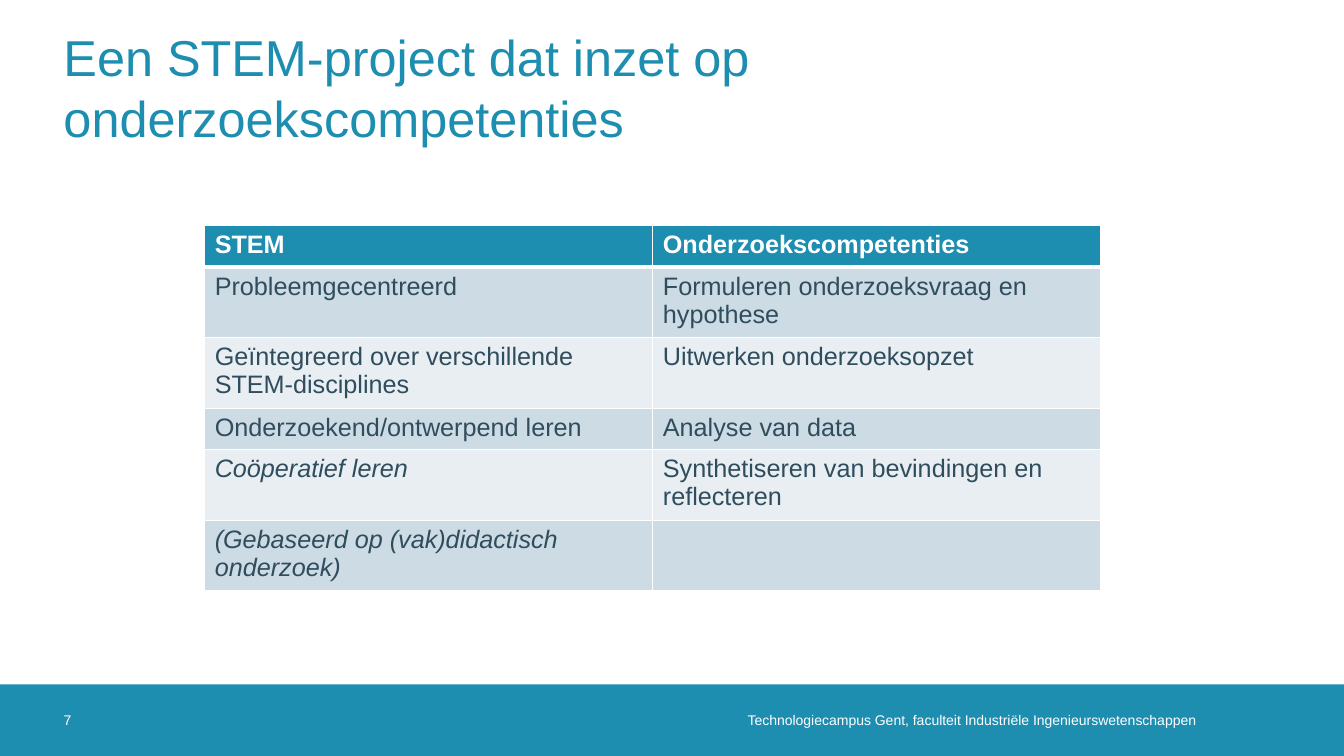
from dataclasses import dataclass

from lxml.etree import SubElement
from pptx import Presentation
from pptx.dml.color import RGBColor as RGB
from pptx.enum.shapes import MSO_SHAPE as SHAPE
from pptx.enum.text import MSO_ANCHOR as ANCHOR, PP_ALIGN as ALIGN
from pptx.oxml.ns import qn
from pptx.util import Inches, Pt


@dataclass(frozen=True)
class Theme:
    font: str = "Arial"
    teal: str = "1D8DB0"
    white: str = "FFFFFF"
    ink: str = "2F4D5D"
    bands: tuple = ("CDDBE4", "E8EEF2")
    title_size: int = 36
    table_size: int = 18
    footer_size: int = 10


THEME = Theme()


def write(frame, text, size, color, bold=False, italic=False):
    run = frame.paragraphs[0].add_run()
    run.text = text
    style = {"name": THEME.font, "size": Pt(size), "bold": bold, "italic": italic}
    for key, value in style.items():
        setattr(run.font, key, value)
    run.font.color.rgb = RGB.from_string(color)


def add_borders(cell, widths):
    """Draw white borders; widths maps L, R, T and B, in that order, to points."""
    properties = cell._tc.get_or_add_tcPr()
    for index, (side, width) in enumerate(widths.items()):
        line = SubElement(properties, qn(f"a:ln{side}"), w=str(Pt(width)))
        fill = SubElement(line, qn("a:solidFill"))
        SubElement(fill, qn("a:srgbClr"), val=THEME.white)
        properties.insert(index, line)


prs = Presentation()
prs.slide_width, prs.slide_height = Inches(13.33), Inches(7.5)
slide = prs.slides.add_slide(prs.slide_layouts[6])

footer_top, footer_height = Inches(6.79), Inches(0.71)
footer_band = slide.shapes.add_shape(
    SHAPE.RECTANGLE, 0, footer_top, prs.slide_width, footer_height)
footer_band.shadow.inherit = False
footer_band.fill.solid()
footer_band.fill.fore_color.rgb = RGB.from_string(THEME.teal)
footer_band.line.fill.background()

# text, left, top, width, height, right inset, alignment, size, colour
LABELS = [
    ("Technologiecampus Gent, faculteit Industriële Ingenieurswetenschappen",
     Inches(6.6), footer_top, Inches(5.46), footer_height, Inches(0.2),
     ALIGN.RIGHT, THEME.footer_size, THEME.white),
    ("7", Inches(0.63), footer_top, Inches(0.71), footer_height, 0,
     ALIGN.LEFT, THEME.footer_size, THEME.white),
    ("Een STEM-project dat inzet op onderzoekscompetenties",
     Inches(0.63), Inches(0.23), Inches(12.07), Inches(1.26), 0,
     ALIGN.LEFT, THEME.title_size, THEME.teal),
]
for text, left, top, width, height, inset, align, size, color in LABELS:
    frame = slide.shapes.add_textbox(left, top, width, height).text_frame
    layout = {"word_wrap": True, "vertical_anchor": ANCHOR.MIDDLE,
              "margin_left": 0, "margin_top": 0, "margin_bottom": 0,
              "margin_right": inset}
    for key, value in layout.items():
        setattr(frame, key, value)
    frame.paragraphs[0].alignment = align
    write(frame, text, size, color)

ROWS = [
    ("STEM", "Onderzoekscompetenties"),
    ("Probleemgecentreerd", "Formuleren onderzoeksvraag en hypothese"),
    ("Geïntegreerd over verschillende STEM-disciplines", "Uitwerken onderzoeksopzet"),
    ("Onderzoekend/ontwerpend leren", "Analyse van data"),
    ("Coöperatief leren", "Synthetiseren van bevindingen en reflecteren"),
    ("(Gebaseerd op (vak)didactisch onderzoek)", ""),
]
ITALIC_CELLS = {(4, 0), (5, 0)}

row_height = Inches(0.41)
competences = slide.shapes.add_table(
    len(ROWS), 2, Inches(2.03), Inches(2.24), Inches(8.89),
    row_height * len(ROWS)).table
for r, texts in enumerate(ROWS):
    header = r == 0
    for c, text in enumerate(texts):
        cell = competences.cell(r, c)
        cell.fill.solid()
        cell.fill.fore_color.rgb = RGB.from_string(
            THEME.teal if header else THEME.bands[(r - 1) % 2])
        add_borders(cell, {"L": 1, "R": 1, "T": 3 if r == 1 else 1,
                           "B": 3 if header else 1})
        if text:
            write(cell.text_frame, text, THEME.table_size,
                  THEME.white if header else THEME.ink,
                  bold=header, italic=(r, c) in ITALIC_CELLS)

prs.save("out.pptx")
